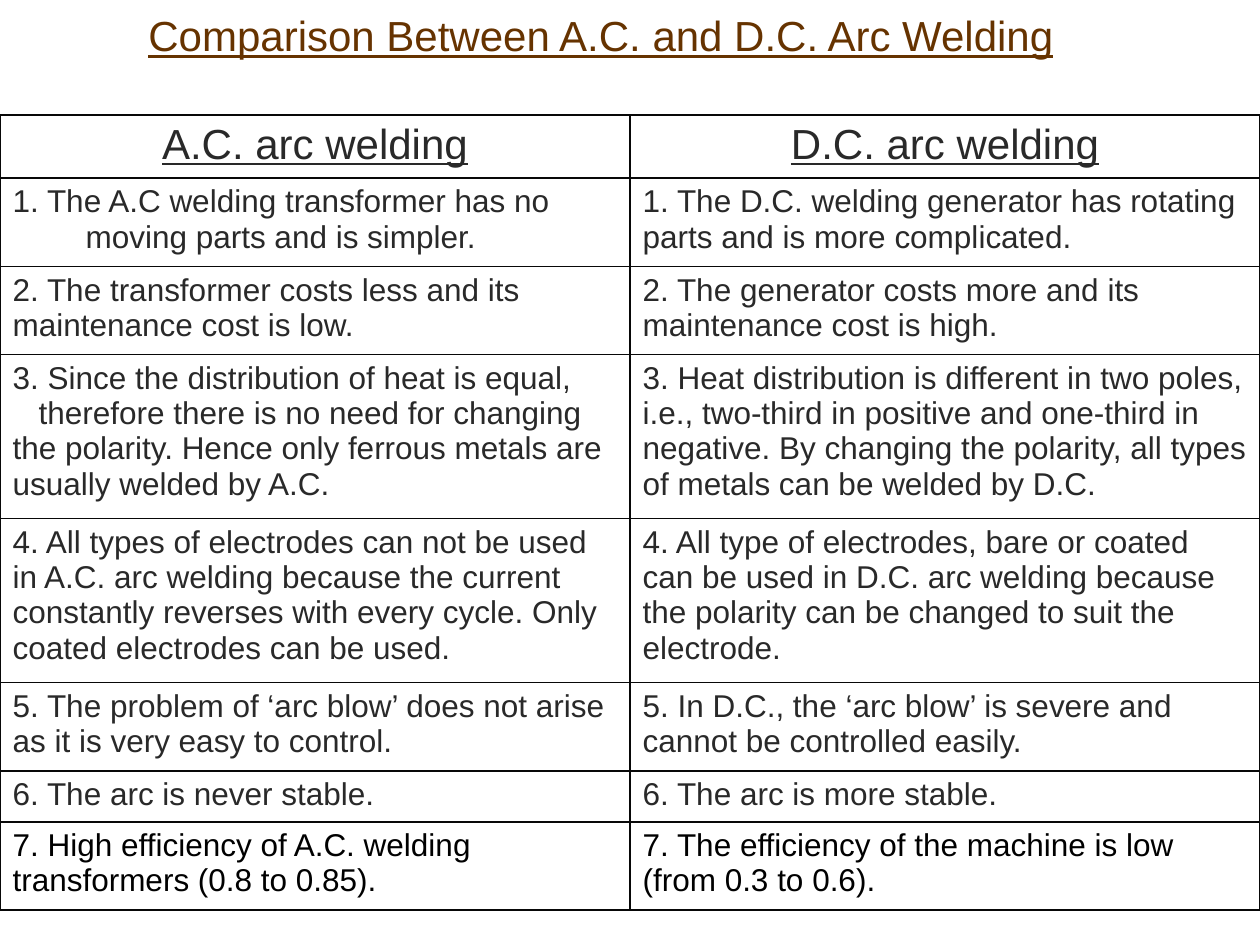
import pptx
import pptx.dml.color
import pptx.enum.text
import pptx.oxml
import pptx.oxml.ns
import pptx.util

SCALE = 914400 / 126
COLORS = {"title": "663300", "body": "292929", "last": "000000", "border": "080808"}
ALIGN = pptx.enum.text.PP_ALIGN

COLUMN_WIDTH = 630
ROW_HEIGHTS = [63, 88, 88, 164, 164, 88, 51, 88]
HEADERS = ["A.C. arc welding", "D.C. arc welding"]
# Each line of a cell is one paragraph.
POINTS = [
    ("1. The A.C welding transformer has no moving parts and is simpler.",
     "1. The D.C. welding generator has rotating parts and is more complicated."),
    ("2. The transformer costs less and its maintenance cost is low.",
     "2. The generator costs more and its maintenance cost is high."),
    ("3. Since the distribution of heat is equal,\n"
     "therefore there is no need for changing the polarity. "
     "Hence only ferrous metals are usually welded by A.C.",
     "3. Heat distribution is different in two poles, i.e., two-third in positive and "
     "one-third in negative. By changing the polarity, all types of metals can be "
     "welded by D.C."),
    ("4. All types of electrodes can not be used in A.C. arc welding because the current "
     "constantly reverses with every cycle. Only coated electrodes can be used.",
     "4. All type of electrodes, bare or coated can be used in D.C. arc welding because "
     "the polarity can be changed to suit the electrode."),
    ("5. The problem of ‘arc blow’ does not arise as it is very easy to control.",
     "5. In D.C., the ‘arc blow’ is severe and cannot be controlled easily."),
    ("6. The arc is never stable.", "6. The arc is more stable."),
    ("7. High efficiency of A.C. welding transformers (0.8 to 0.85).",
     "7. The efficiency of the machine is low (from 0.3 to 0.6)."),
]


def px(length):
    return pptx.util.Emu(round(length * SCALE))


def write_text(para, text, size=18, color="body", underline=False, align=ALIGN.LEFT,
               left=0, indent=0):
    """Fill a paragraph; left and indent are its margin and first-line offset in px."""
    para.alignment = align
    properties = para._p.get_or_add_pPr()
    properties.set("marL", str(px(left)))
    properties.set("indent", str(px(indent)))
    span = para.add_run()
    span.text = text
    span.font.name = "Arial"
    span.font.size = pptx.util.Pt(size)
    span.font.underline = underline
    span.font.color.rgb = pptx.dml.color.RGBColor.from_string(COLORS[color])


def add_borders(cell):
    properties = cell._tc.get_or_add_tcPr()
    for position, side in enumerate(("lnL", "lnR", "lnT", "lnB")):
        properties.insert(position, pptx.oxml.parse_xml(
            f'<a:{side} {pptx.oxml.ns.nsdecls("a")} w="12700"><a:solidFill>'
            f'<a:srgbClr val="{COLORS["border"]}"/></a:solidFill></a:{side}>'))


class ComparisonSlide:
    def __init__(self, deck):
        self.page = deck.slides.add_slide(deck.slide_layouts[6])

    def title(self, text, x, y, width, height):
        box = self.page.shapes.add_textbox(px(x), px(y), px(width), px(height))
        box.text_frame.word_wrap = True
        box.text_frame.margin_top = px(10)
        write_text(box.text_frame.paragraphs[0], text, size=24, color="title",
                   underline=True)

    def table(self, x, y, column_width, row_heights, columns=2):
        frame = self.page.shapes.add_table(len(row_heights), columns, px(x), px(y),
                                           px(column_width * columns),
                                           px(sum(row_heights)))
        table = frame.table
        table.first_row = table.horz_banding = False
        for column in table.columns:
            column.width = px(column_width)
        for row, height in zip(table.rows, row_heights):
            row.height = px(height)
        for cell in table.iter_cells():
            cell.fill.background()
            add_borders(cell)
        return table

    def cell(self, cell, text, first_line=0, **style):
        """Write a cell; first_line offsets the paragraphs after the first."""
        for index, line in enumerate(text.split("\n")):
            if index:
                para = cell.text_frame.add_paragraph()
                style["indent"] = first_line
            else:
                para = cell.text_frame.paragraphs[0]
            write_text(para, line, **style)


def main():
    deck = pptx.Presentation()
    deck.slide_width, deck.slide_height = px(1260), px(945)
    slide = ComparisonSlide(deck)
    slide.title("Comparison Between A.C. and D.C. Arc Welding", 136, 0, 1018, 63)
    table = slide.table(0, 115, COLUMN_WIDTH, ROW_HEIGHTS)
    for column, header in enumerate(HEADERS):
        slide.cell(table.cell(0, column), header, size=24, underline=True,
                   align=ALIGN.CENTER)
    for row, texts in enumerate(POINTS, start=1):
        for column, text in enumerate(texts):
            hanging = 73 if (row, column) == (1, 0) else 0
            slide.cell(table.cell(row, column), text, first_line=26,
                       color="last" if row == len(POINTS) else "body",
                       left=hanging, indent=-hanging)
    deck.save("out.pptx")


if __name__ == "__main__":
    main()
